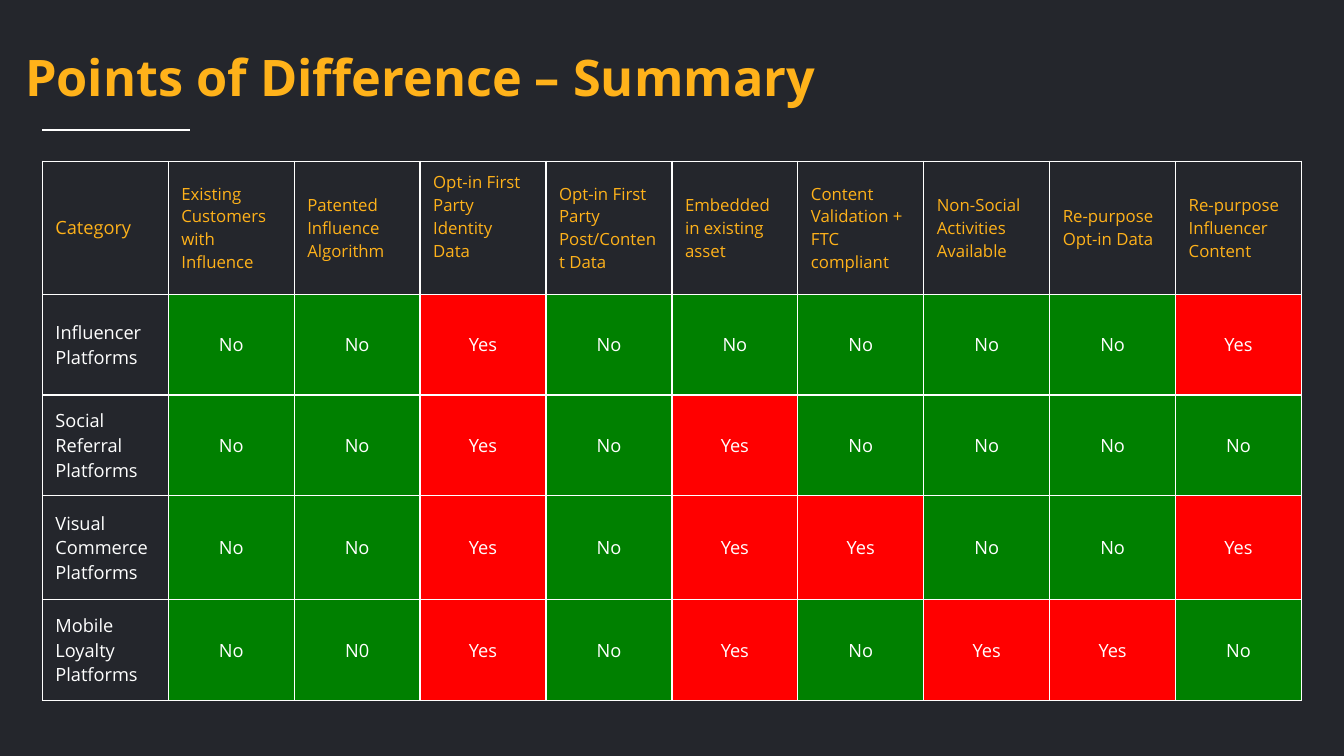
from lxml import etree
from pptx import Presentation
from pptx import util as u
from pptx.dml.color import RGBColor
from pptx.enum import shapes, text
from pptx.oxml import ns

Inches, Pt = u.Inches, u.Pt
FONT = "Open Sans"
DARK = RGBColor(0x24, 0x26, 0x2C)
AMBER = RGBColor(0xFF, 0xB2, 0x1A)
WHITE = RGBColor(0xFF, 0xFF, 0xFF)
GREEN = RGBColor(0x00, 0x80, 0x00)
RED = RGBColor(0xFF, 0x00, 0x00)

HEADINGS = [
    "Category",
    "Existing Customers with Influence",
    "Patented Influence Algorithm",
    "Opt-in First Party Identity Data",
    "Opt-in First Party Post/Content Data",
    "Embedded in existing asset",
    "Content Validation + FTC compliant",
    "Non-Social Activities Available",
    "Re-purpose Opt-in Data",
    "Re-purpose\nInfluencer Content",
]
PLATFORMS = {
    "Influencer Platforms": "No No Yes No No No No No Yes",
    "Social Referral Platforms": "No No Yes No Yes No No No No",
    "Visual Commerce Platforms": "No No Yes No Yes Yes No No Yes",
    "Mobile Loyalty Platforms": "No N0 Yes No Yes No Yes Yes No",
}
ROW_HEIGHTS = [1.32, 1, 1, 1.03, 1]
RAISED_HEADING = 3


def style(frame, size, color, bold=False, align=None):
    """Give every paragraph of a text frame the same look."""
    for paragraph in frame.paragraphs:
        paragraph.alignment = align
        font = paragraph.font
        font.name, font.size, font.bold = FONT, Pt(size), bold
        font.color.rgb = color


def add_borders(cell, color, width):
    """Draw a solid line on all four sides of a cell."""
    properties = cell._tc.get_or_add_tcPr()
    for side in ("a:lnL", "a:lnR", "a:lnT", "a:lnB"):
        line = etree.SubElement(properties, ns.qn(side), w=str(Pt(width)))
        fill = etree.SubElement(line, ns.qn("a:solidFill"))
        etree.SubElement(fill, ns.qn("a:srgbClr"), val=str(color))


def fill_cell(cell, words, fill, size, color, align=None):
    """Write one table cell with its margins, borders and fill."""
    cell.text = words
    cell.vertical_anchor = text.MSO_ANCHOR.MIDDLE
    cell.margin_left = cell.margin_right = Inches(0.13)
    cell.margin_top = cell.margin_bottom = Inches(0.07)
    style(cell.text_frame, size, color, align=align)
    add_borders(cell, WHITE, 1)
    cell.fill.solid()
    cell.fill.fore_color.rgb = fill


def add_title(slide, left, top, width, height):
    """Place the heading and the short rule below it."""
    heading = slide.shapes.add_textbox(
        Inches(left), Inches(top), Inches(width), Inches(height))
    frame = heading.text_frame
    frame.word_wrap = True
    frame.vertical_anchor = text.MSO_ANCHOR.MIDDLE
    frame.text = "Points of Difference – Summary"
    style(frame, 36, AMBER, bold=True)

    rule_left, rule_top = Inches(left + 0.27), Inches(top + 0.89)
    rule = slide.shapes.add_connector(
        shapes.MSO_CONNECTOR.STRAIGHT,
        rule_left, rule_top, rule_left + Inches(1.46), rule_top)
    rule.line.color.rgb = WHITE
    rule.line.width = Pt(0.75)
    etree.SubElement(rule._element.spPr, ns.qn("a:effectLst"))


def add_comparison(slide, left, top, width, height):
    """Place the table of platforms against points of difference."""
    comparison = slide.shapes.add_table(
        len(ROW_HEIGHTS), len(HEADINGS),
        Inches(left), Inches(top), Inches(width), Inches(height)).table
    for column in comparison.columns:
        column.width = Inches(width / len(HEADINGS))
    for row, share in zip(comparison.rows, ROW_HEIGHTS):
        row.height = Inches(height * share / sum(ROW_HEIGHTS))

    for col, heading in enumerate(HEADINGS):
        fill_cell(comparison.cell(0, col), heading, DARK, 12 if col else 13, AMBER)
    comparison.cell(0, RAISED_HEADING).margin_bottom = Inches(0.3)

    for row, (platform, answers) in enumerate(PLATFORMS.items(), 1):
        fill_cell(comparison.cell(row, 0), platform, DARK, 13, WHITE)
        for col, answer in enumerate(answers.split(), 1):
            fill_cell(comparison.cell(row, col), answer,
                      RED if answer == "Yes" else GREEN,
                      13, WHITE, text.PP_ALIGN.CENTER)


def build_summary(deck):
    """Add the summary slide on its dark background."""
    slide = deck.slides.add_slide(deck.slide_layouts[6])
    slide.background.fill.solid()
    slide.background.fill.fore_color.rgb = DARK
    add_title(slide, 0.15, 0.4, 11.73, 0.71)
    add_comparison(slide, 0.42, 1.6, 12.49, 5.35)


deck = Presentation()
deck.slide_width, deck.slide_height = Inches(13.33), Inches(7.5)
build_summary(deck)
deck.save("out.pptx")
